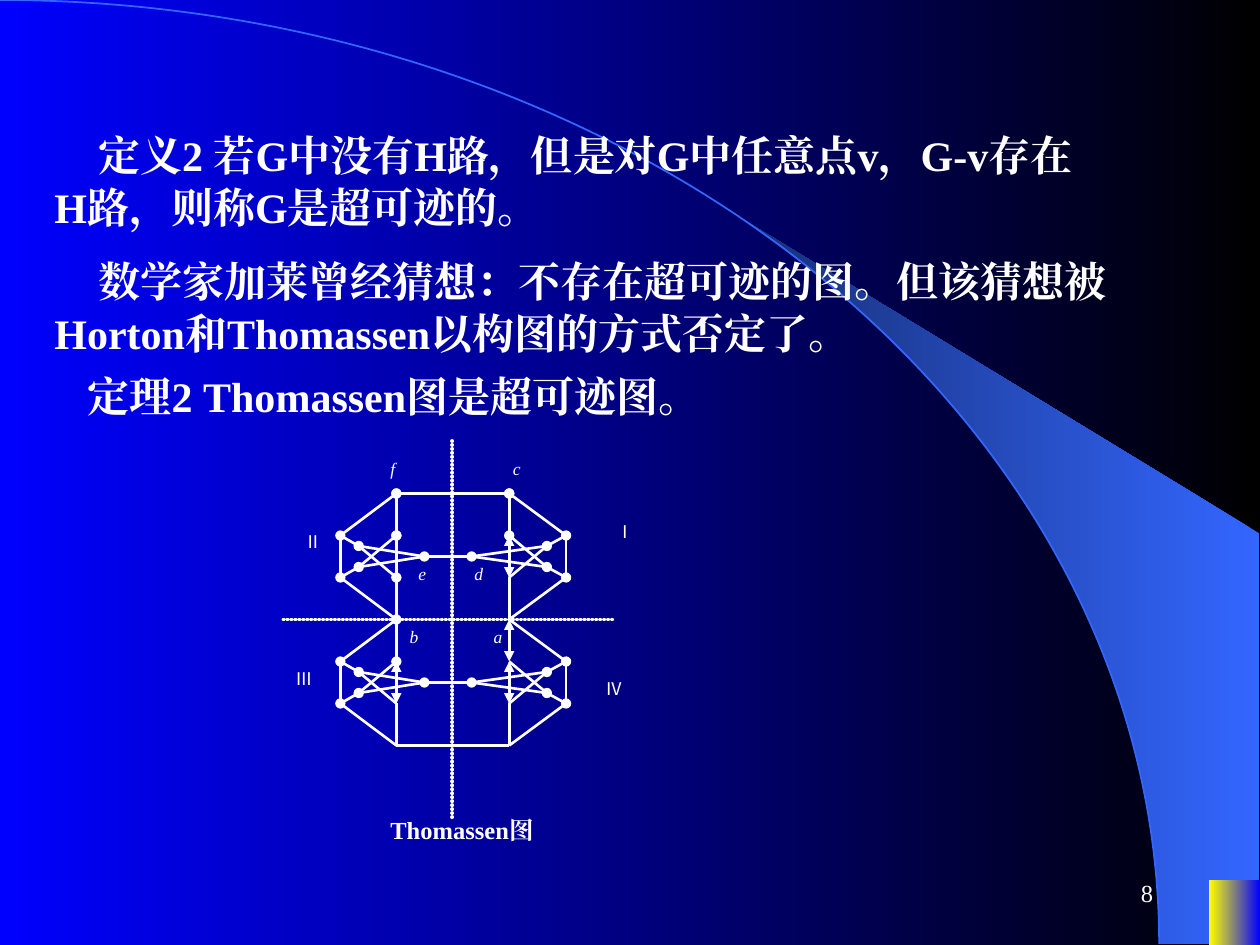
import math
from dataclasses import dataclass

from lxml import etree
from pptx import Presentation
from pptx.dml.color import RGBColor
from pptx.enum.shapes import MSO_CONNECTOR, MSO_SHAPE
from pptx.enum.text import MSO_ANCHOR, PP_ALIGN
from pptx.oxml.ns import qn
from pptx.util import Pt

STRAIGHT = MSO_CONNECTOR.STRAIGHT
ARC, RECT = MSO_SHAPE.ARC, MSO_SHAPE.RECTANGLE
LEFT, RIGHT, JUSTIFY = PP_ALIGN.LEFT, PP_ALIGN.RIGHT, PP_ALIGN.JUSTIFY
TOP, MIDDLE = MSO_ANCHOR.TOP, MSO_ANCHOR.MIDDLE


@dataclass(frozen=True)
class Theme:
    black: str = "000000"
    blue: str = "0000FF"
    sky: str = "3366FF"
    navy: str = "172F75"
    yellow: str = "FFFF00"
    white: str = "FFFFFF"
    serif: str = "Times New Roman"
    sans: str = "Noto Sans CJK SC"
    body: int = 24
    caption: int = 14
    label: int = 10
    edge: float = 1.5
    axis: float = 2.25


class Deck:
    def __init__(self, prs, theme):
        self.theme = theme
        self.s = prs.slides.add_slide(prs.slide_layouts[6])

    def gradient(self, fill, start, end):
        """Fill from start at the right to end at the left."""
        fill.gradient()
        fill.gradient_angle = 180
        for stop, color in zip(fill.gradient_stops, (start, end)):
            stop.color.rgb = RGBColor.from_string(color)

    def gradient_shape(self, sp, start, end):
        sp.shadow.inherit = False
        self.gradient(sp.fill, start, end)
        sp.line.fill.background()

    def polygon(self, points, start, end):
        pts = [(Pt(x), Pt(y)) for x, y in points]
        builder = self.s.shapes.build_freeform(*pts[0], scale=1.0)
        builder.add_line_segments(pts[1:], close=True)
        self.gradient_shape(builder.convert_to_shape(), start, end)

    def rect(self, x, y, w, h, start, end):
        sp = self.s.shapes.add_shape(RECT, Pt(x), Pt(y), Pt(w), Pt(h))
        self.gradient_shape(sp, start, end)

    def quarter_arc(self, rx, ry, color):
        """Stroke the upper right quarter of an ellipse whose top is the slide corner."""
        sp = self.s.shapes.add_shape(ARC, Pt(-rx), 0, Pt(2 * rx), Pt(2 * ry))
        sp.shadow.inherit = False
        sp.fill.background()
        sp.line.color.rgb = RGBColor.from_string(color)
        sp.line.width = Pt(1)

    def line(self, start, end, ends=None, dotted=False):
        t = self.theme
        sp = self.s.shapes.add_connector(STRAIGHT, *map(Pt, start + end))
        sp.line.color.rgb = RGBColor.from_string(t.white)
        sp.line.width = Pt(t.axis if dotted else t.edge)
        ln = sp.line._get_or_add_ln()
        if dotted:
            ln.set("cap", "rnd")
            dash = etree.SubElement(ln, qn("a:custDash"))
            etree.SubElement(dash, qn("a:ds"), d="1000", sp="100000")
        if ends:
            for tag in ("a:headEnd", "a:tailEnd"):
                etree.SubElement(ln, qn(tag), type=ends)
        etree.SubElement(sp._element.spPr, qn("a:effectLst"))

    def text(self, x, y, w, h, text, size, font=None, bold=False, italic=False,
             align=JUSTIFY, anchor=TOP, top=3.6, indent=0, spacing=None):
        t = self.theme
        font = font or t.serif
        tf = self.s.shapes.add_textbox(Pt(x), Pt(y), Pt(w), Pt(h)).text_frame
        tf.word_wrap = True
        tf.vertical_anchor = anchor
        tf.margin_top = Pt(top)
        p = tf.paragraphs[0]
        r = p.add_run()
        r.text = text
        p.alignment = align
        if indent:
            p._p.get_or_add_pPr().set("indent", str(Pt(indent)))
        if spacing:
            p.line_spacing = Pt(spacing)
        f = r.font
        f.name, f.size, f.bold, f.italic = font, Pt(size), bold, italic
        f.color.rgb = RGBColor.from_string(t.white)
        etree.SubElement(r._r.get_or_add_rPr(), qn("a:ea"), typeface=font)

    def statement(self, x, y, w, h, text):
        self.text(x, y, w, h, text, self.theme.body, bold=True, align=LEFT,
                  top=7, indent=25, spacing=29.7)


def draw_background(deck):
    t = deck.theme
    rx, ry = 662.4, 539.3
    tip_x, right = 424, 719.3
    deck.gradient(deck.s.background.fill, t.black, t.blue)
    first = math.asin(tip_x / rx)
    steps = 24
    angles = [first + (math.pi / 2 - first) * i / steps for i in range(steps + 1)]
    curve = [(rx * math.sin(a), ry * (1 - math.cos(a))) for a in angles]
    deck.polygon(curve + [(right, ry), (right, 304.6)], t.sky, t.navy)
    deck.quarter_arc(rx, ry, t.sky)
    deck.rect(691, 502.6, 29, 37.4, t.blue, t.yellow)


def draw_quadrant(deck, top, columns, inner_ends):
    """Draw one fragment; columns run from the inner side to the outer side."""
    hub, inner, mid, outer = columns
    edges = [
        (inner, 0, outer, 24), (outer, 24, outer, 48), (outer, 48, inner, 72),
        (mid, 30, hub, 36), (mid, 42, hub, 36),
        (inner, 24, mid, 42), (mid, 30, inner, 48),
    ]
    spokes = [(outer, 24, mid, 30), (outer, 48, mid, 42)]
    uprights = [(inner, y, inner, y + 24) for y in (0, 24, 48)]
    styled = ([(e, None) for e in edges] + [(e, "oval") for e in spokes]
              + list(zip(uprights, inner_ends)))
    for (x1, y1, x2, y2), ends in styled:
        deck.line((x1, top + y1), (x2, top + y2), ends)


def draw_graph(deck):
    t = deck.theme
    left = (242.5, 226.5, 205, 194.5)
    right = (269.5, 291, 312.5, 323.5)
    upper, middle, bottom = 282, 354, 426
    dot, arrow = "oval", "triangle"
    deck.line((258.5, 252), (258.5, 468), dotted=True)
    deck.line((162, middle), (350, middle), dotted=True)
    for top, columns, inner_ends in (
        (upper, left, (dot, dot, None)),
        (upper, right, (dot, arrow, None)),
        (middle, left, (dot, arrow, None)),
        (middle, right, (arrow, arrow, None)),
    ):
        draw_quadrant(deck, top, columns, inner_ends)
    for y in (upper + 36, middle + 36):
        deck.line((left[0], y), (right[0], y), dot)
    for y, ends in ((upper, dot), (bottom, None)):
        deck.line((left[1], y), (right[1], y), ends)

    for vertex, x, y in (("a", 275, 354), ("b", 227, 354), ("d", 264, 318),
                         ("e", 232, 318), ("f", 216, 258), ("c", 286, 258)):
        deck.text(x, y, 21.6, 21, vertex, t.label, italic=True)
    for numeral, x, y, w in (("Ⅰ", 345, 294, 21.6), ("Ⅱ", 167, 300, 25),
                             ("Ⅲ", 162, 378, 21.6), ("Ⅳ", 339, 384, 29)):
        deck.text(x, y, w, 21, numeral, t.label, font=t.sans)
    deck.text(216, 462, 113, 21, "Thomassen图", t.caption, bold=True)


def main():
    prs = Presentation()
    prs.slide_width, prs.slide_height = Pt(720), Pt(540)
    deck = Deck(prs, Theme())
    draw_background(deck)
    deck.statement(24, 66, 606, 70,
                   "定义2 若G中没有H路，但是对G中任意点v，G-v存在H路，则称G是超可迹的。")
    deck.statement(24, 138, 636, 70,
                   "数学家加莱曾经猜想：不存在超可迹的图。但该猜想被Horton和Thomassen以构图的方式否定了。")
    deck.statement(18, 204, 636, 41, "定理2 Thomassen图是超可迹图。")
    draw_graph(deck)
    deck.text(516, 492, 150, 36, "8", deck.theme.caption, align=RIGHT, anchor=MIDDLE)
    prs.save("out.pptx")


if __name__ == "__main__":
    main()
